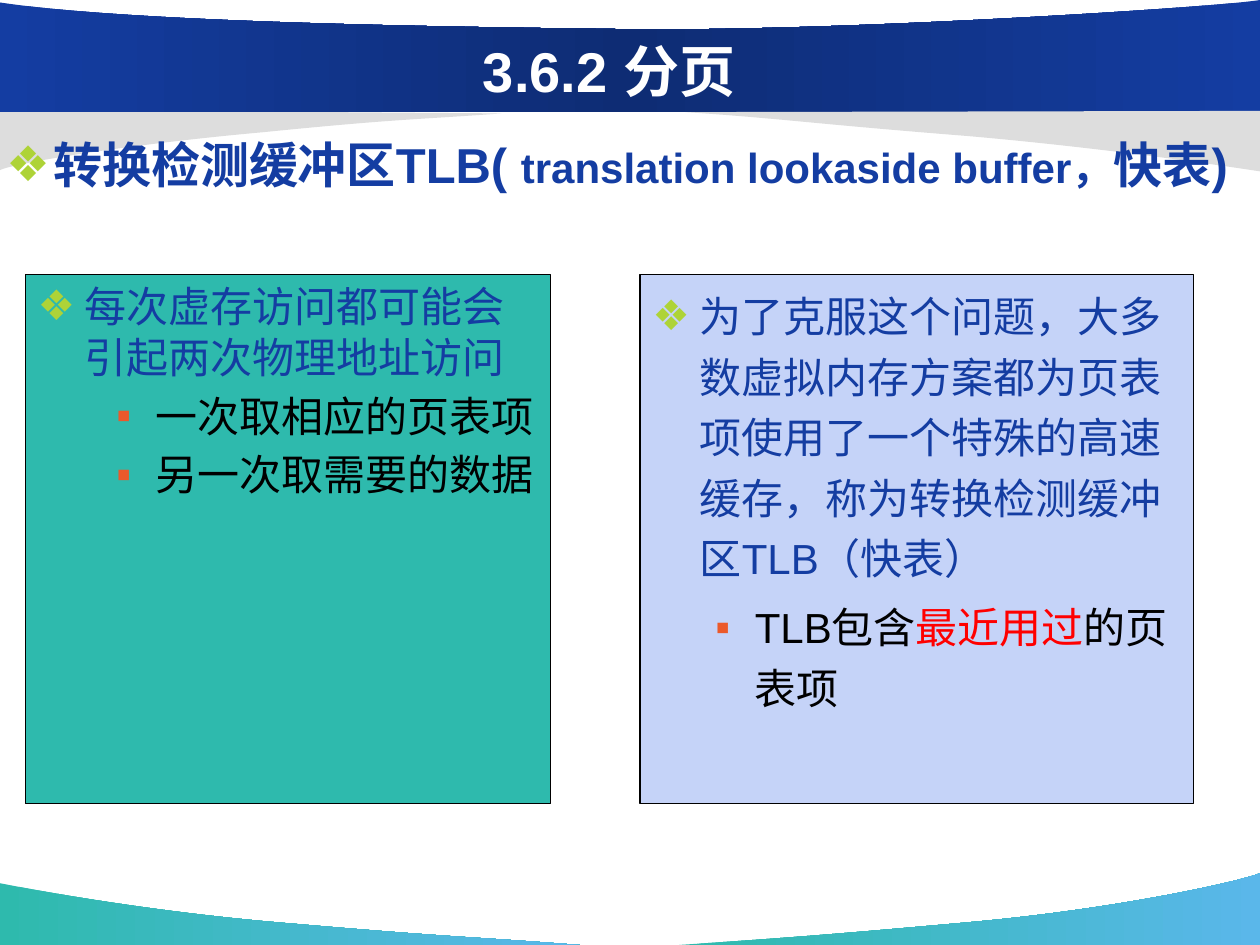
import pptx
import pptx.util
import pptx.dml.color
import pptx.enum.shapes
import pptx.enum.text
import pptx.oxml
import pptx.oxml.ns

Inches = pptx.util.Inches
Pt = pptx.util.Pt
qn = pptx.oxml.ns.qn
BLUE, BLACK, RED, WHITE = "143DA2", "000000", "FF0000", "FFFFFF"
TEAL, SKY, GREY = "2EBAAD", "5AB7EA", "DDDDDD"
BULLETS = [("❖", "AED337"), ("▪", "EB592B")]


def color(value):
    return pptx.dml.color.RGBColor.from_string(value)


def write(frame, paragraphs):
    """Each paragraph: level, indent, line spacing, runs of (text, size, colour, bold)."""
    frame.word_wrap = True
    frame.auto_size = pptx.enum.text.MSO_AUTO_SIZE.NONE
    frame.vertical_anchor = pptx.enum.text.MSO_ANCHOR.TOP
    for index, (level, indent, spacing, runs) in enumerate(paragraphs):
        paragraph = frame.paragraphs[0] if index == 0 else frame.add_paragraph()
        paragraph.level = level
        paragraph.alignment = pptx.enum.text.PP_ALIGN.LEFT
        paragraph.line_spacing = spacing
        paragraph.space_before = Pt(4.8 if index else 0)
        properties = paragraph._p.get_or_add_pPr()
        properties.set("marL", str(Inches(indent)))
        properties.set("indent", str(-Inches(5 / 16 if level else 3 / 8)))
        character, bullet_color = BULLETS[level]
        bullet = pptx.oxml.parse_xml(
            f'<a:pPr {pptx.oxml.ns.nsdecls("a")}><a:buClr><a:srgbClr val="{bullet_color}"/>'
            f'</a:buClr><a:buFont typeface="Arial"/><a:buChar char="{character}"/></a:pPr>')
        properties.extend(list(bullet))
        for text, size, text_color, bold in runs:
            run = paragraph.add_run()
            run.text = text
            run.font.name = "Arial"
            run.font.size = Pt(size)
            run.font.bold = bold
            run.font.color.rgb = color(text_color)


presentation = pptx.Presentation()
presentation.slide_width = Inches(10)
presentation.slide_height = Inches(7.5)
slide = presentation.slides.add_slide(presentation.slide_layouts[5])

# Curved bands: a start point, then straight ends (2 numbers) or Bezier curves (6 numbers)
bands = [
    ([TEAL, SKY], [(4.6, 7.5), (3.84, 7.44, 3.58, 7.44, 2.32, 7.33),
                   (1.06, 7.23, 0.01, 7.01, 0, 7.01), (0, 7.5)]),
    ([TEAL, SKY], [(5.39, 7.5), (6.14, 7.45, 6.46, 7.43, 7.69, 7.32),
                   (8.92, 7.21, 9.9, 6.98, 10, 6.93), (10, 7.5)]),
    ([GREY], [(3.98, 0.9), (3.31, 0.95, 3.18, 0.94, 2.08, 1.05),
              (0.97, 1.15, 0.09, 1.3, 0, 1.35), (0, 0.87)]),
    ([BLUE, "0E2C74", BLUE], [(0, 0.89), (10, 0.89), (10, 0),
                              (9.64, 0.06, 6.53, 0.26, 4.87, 0.23),
                              (3.21, 0.21, 1.01, 0.17, 0, 0.02)]),
    ([GREY], [(5.44, 0.89), (6.2, 0.94, 6.42, 0.98, 7.68, 1.08),
              (8.94, 1.19, 9.99, 1.36, 10, 1.36), (10, 0.88)]),
]
for colors, outline in bands:
    points = [(Inches(part[i]), Inches(part[i + 1]))
              for part in outline for i in range(0, len(part), 2)]
    builder = slide.shapes.build_freeform(*points[0])
    builder.add_line_segments(points[1:], close=True)
    shape = builder.convert_to_shape()

    # Join the three points of each curve into one Bezier segment
    lines = iter(shape._element.findall(".//" + qn("a:lnTo")))
    for part in outline[1:]:
        segment = next(lines)
        if len(part) == 6:
            curve = pptx.oxml.parse_xml(f'<a:cubicBezTo {pptx.oxml.ns.nsdecls("a")}/>')
            segment.addprevious(curve)
            for line in (segment, next(lines), next(lines)):
                curve.append(line[0])
                line.getparent().remove(line)

    shape.shadow.inherit = False
    shape.line.fill.background()
    if len(colors) == 1:
        shape.fill.solid()
        shape.fill.fore_color.rgb = color(colors[0])
        continue
    shape.fill.gradient()
    shape.fill.gradient_angle = 0
    stops = shape._element.spPr.find(".//" + qn("a:gsLst"))
    stops.clear()
    for index, stop_color in enumerate(colors):
        position = 100000 * index // (len(colors) - 1)
        stops.append(pptx.oxml.parse_xml(
            f'<a:gs {pptx.oxml.ns.nsdecls("a")} pos="{position}">'
            f'<a:srgbClr val="{stop_color}"/></a:gs>'))

# Title, brought in front of the bands
title = slide.shapes.title
slide.shapes._spTree.append(title._element)
title.left, title.top = Inches(0.92), Inches(0.25)
title.width, title.height = Inches(7.83), Inches(0.62)
title.text_frame.vertical_anchor = pptx.enum.text.MSO_ANCHOR.MIDDLE
paragraph = title.text_frame.paragraphs[0]
paragraph.alignment = pptx.enum.text.PP_ALIGN.CENTER
run = paragraph.add_run()
run.text = "3.6.2 分页"
run.font.name = "Arial"
run.font.size = Pt(32)
run.font.bold = True
run.font.color.rgb = color(WHITE)

# Two panels: the solution on the right, the problem on the left
panels = [
    (5.08, 4.39, "C5D3F8", [
        (0, 3 / 8, 1.2, [("为了克服这个问题，大多数虚拟内存方案都为页表项使用了一个特殊的高速缓存，"
                          "称为转换检测缓冲区TLB（快表）", 24, BLUE, False)]),
        (1, 13 / 16, 1.2, [("TLB包含", 24, BLACK, False), ("最近用过", 24, RED, False),
                           ("的页表项", 24, BLACK, False)]),
    ]),
    (0.2, 4.17, TEAL, [
        (0, 3 / 8, 1.0, [("每次虚存访问都可能会引起两次物理地址访问", 24, BLUE, False)]),
        (1, 15 / 16, 1.0, [("一次取相应的页表项", 24, BLACK, False)]),
        (1, 15 / 16, 1.0, [("另一次取需要的数据", 24, BLACK, False)]),
    ]),
]
for left, width, fill, paragraphs in panels:
    panel = slide.shapes.add_shape(pptx.enum.shapes.MSO_SHAPE.RECTANGLE,
                                   Inches(left), Inches(2.18), Inches(width), Inches(4.2))
    panel.shadow.inherit = False
    panel.fill.solid()
    panel.fill.fore_color.rgb = color(fill)
    panel.line.color.rgb = color(BLACK)
    panel.line.width = Pt(0.75)
    write(panel.text_frame, paragraphs)

# Heading above the panels
heading = slide.shapes.add_textbox(Inches(-0.05), Inches(1.02), Inches(10.05), Inches(0.47))
write(heading.text_frame, [
    (0, 3 / 8, 1.0, [("转换检测缓冲区TLB( ", 28, BLUE, True),
                     ("translation lookaside buffer，", 24, BLUE, True),
                     ("快表)", 28, BLUE, True)]),
])

presentation.save("out.pptx")
